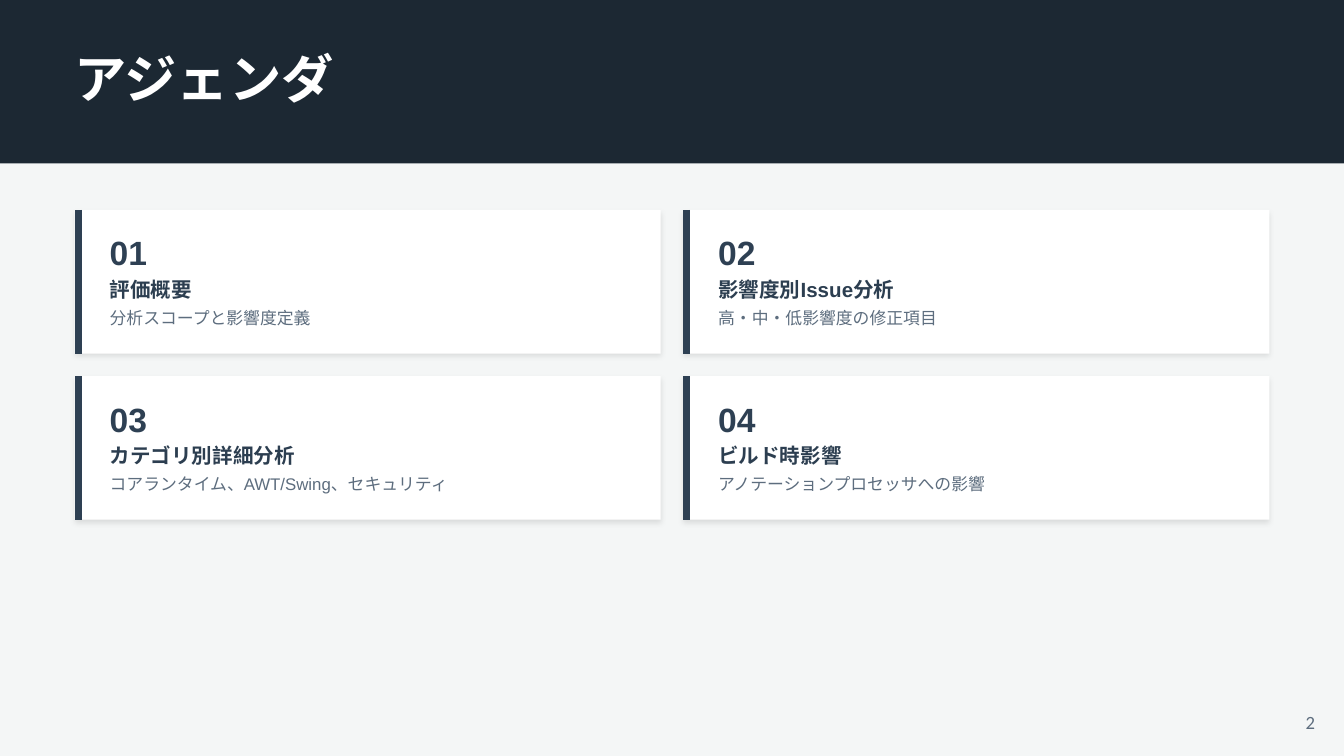
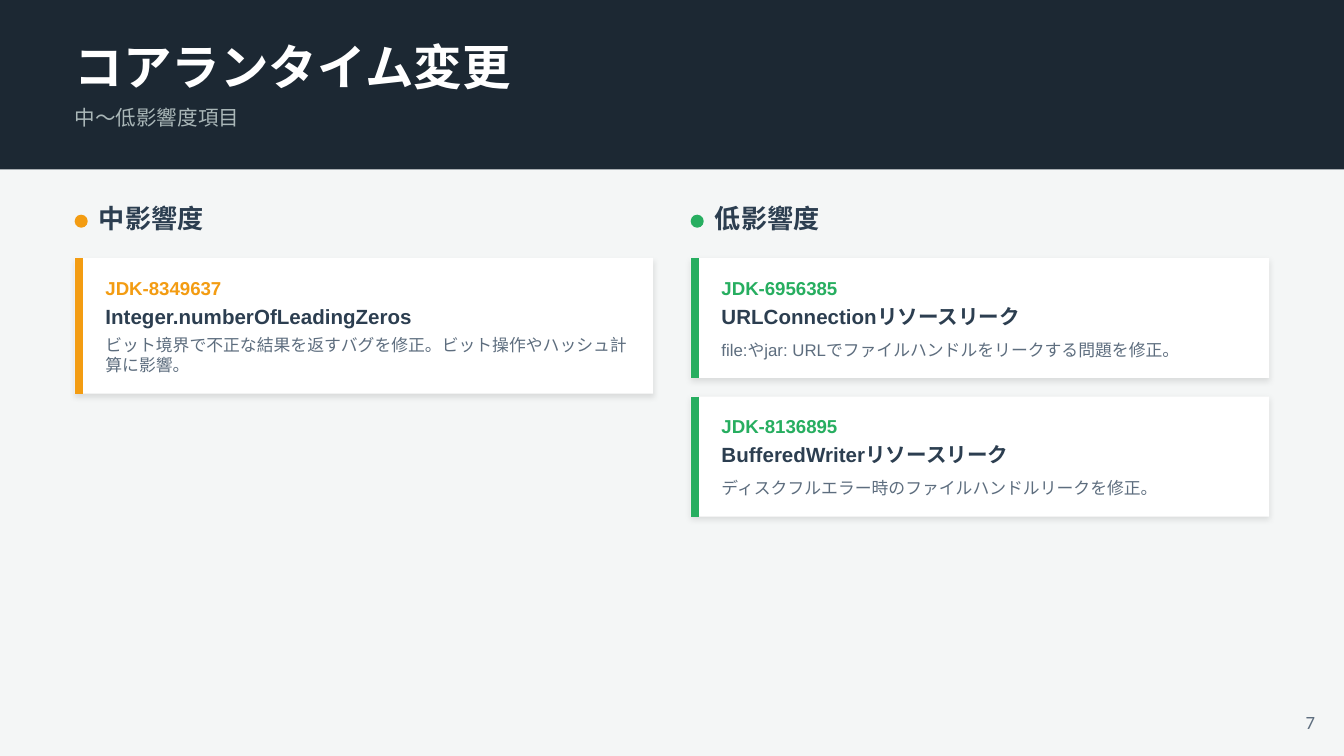
"""Build the agenda and core runtime slides."""
from lxml import etree
from pptx import Presentation
from pptx.dml.color import RGBColor
from pptx.enum import shapes, text
from pptx.oxml import ns, parse_xml
from pptx.util import Pt

NAVY = RGBColor(0x1C, 0x28, 0x33)
SLATE = RGBColor(0x2E, 0x40, 0x53)
INK = RGBColor(0x2C, 0x3E, 0x50)
GRAY = RGBColor(0x5D, 0x6D, 0x7E)
SILVER = RGBColor(0xAA, 0xB7, 0xB8)
PAPER = RGBColor(0xF4, 0xF6, 0xF6)
WHITE = RGBColor(0xFF, 0xFF, 0xFF)
ORANGE = RGBColor(0xF3, 0x9C, 0x12)
GREEN = RGBColor(0x27, 0xAE, 0x60)

AGENDA = [
    ("01", "評価概要", "分析スコープと影響度定義"),
    ("02", "影響度別Issue分析", "高・中・低影響度の修正項目"),
    ("03", "カテゴリ別詳細分析", "コアランタイム、AWT/Swing、セキュリティ"),
    ("04", "ビルド時影響", "アノテーションプロセッサへの影響"),
]
IMPACTS = [
    ("中影響度", ORANGE, 72.75, [
        ("JDK-8349637", "Integer.numberOfLeadingZeros",
         "ビット境界で不正な結果を返すバグを修正。ビット操作やハッシュ計算に影響。"),
    ]),
    ("低影響度", GREEN, 64.25, [
        ("JDK-6956385", "URLConnectionリソースリーク",
         "file:やjar: URLでファイルハンドルをリークする問題を修正。"),
        ("JDK-8136895", "BufferedWriterリソースリーク",
         "ディスクフルエラー時のファイルハンドルリークを修正。"),
    ]),
]

WIDTH, HEIGHT, MARGIN = 720, 405, 40
TITLE_WIDTH = 653
SHADOW = (
    f'<a:effectLst {ns.nsdecls("a")}><a:outerShdw blurRad="{Pt(3)}" dist="{Pt(1.5)}" '
    'dir="5400000" algn="bl" rotWithShape="0"><a:srgbClr val="000000">'
    '<a:alpha val="10000"/></a:srgbClr></a:outerShdw></a:effectLst>'
)


def points(*lengths):
    """Convert lengths in points to slide units."""
    return [Pt(length) for length in lengths]


def format_text(box, wording, size, color, bold=False, font="Arial", inset=True,
                before=None, after=None, spacing=None):
    """Fill a box with one paragraph of styled text."""
    frame = box.text_frame
    frame.text = wording
    frame.word_wrap = True
    frame.auto_size = text.MSO_AUTO_SIZE.NONE
    frame.vertical_anchor = text.MSO_ANCHOR.TOP
    if inset:
        frame.margin_left = frame.margin_top = 0
        frame.margin_right = frame.margin_bottom = 0
    para = frame.paragraphs[0]
    para.alignment = text.PP_ALIGN.LEFT
    for name, value in (("space_before", before), ("space_after", after),
                        ("line_spacing", spacing)):
        if value is not None:
            setattr(para, name, Pt(value))
    for span in para.runs:
        span.font.name, span.font.size, span.font.bold = font, Pt(size), bold
        span.font.color.rgb = color
    return box


def add_text(page, place, *style, **options):
    """Add a styled text box at a place given in points."""
    box = page.shapes.add_textbox(*points(*place))
    return format_text(box, *style, **options)


def add_block(page, place, color, preset=shapes.MSO_SHAPE.RECTANGLE):
    """Add a flat shape without an outline."""
    block = page.shapes.add_shape(preset, *points(*place))
    block.shadow.inherit = False
    block.fill.solid()
    block.fill.fore_color.rgb = color
    block.line.fill.background()
    return block


def add_card(page, place, accent, thickness):
    """Add a white card with a soft shadow and an accent bar at its left."""
    left, top, width, height = place
    properties = add_block(page, place, WHITE).element.spPr
    properties.replace(properties.find(ns.qn("a:effectLst")), parse_xml(SHADOW))
    center = left + thickness / 2
    bar = page.shapes.add_connector(
        shapes.MSO_CONNECTOR.STRAIGHT, *points(center, top, center, top + height))
    bar.line.color.rgb = accent
    bar.line.width = Pt(thickness)
    etree.SubElement(bar.element.spPr, ns.qn("a:effectLst"))


def add_page(deck, title, number, band_height, title_top, title_size):
    """Add a slide with its band, title and page number."""
    page = deck.slides.add_slide(deck.slide_layouts[5])
    page.background.fill.solid()
    page.background.fill.fore_color.rgb = PAPER
    band = add_block(page, (0, 0, WIDTH, band_height), NAVY)
    page.shapes.element.insert(2, band.element)
    heading = page.shapes.title
    heading.left, heading.top, heading.width, heading.height = points(
        MARGIN, title_top, TITLE_WIDTH, title_size * 1.33)
    format_text(heading, title, title_size, WHITE, bold=True)
    label = add_text(page, (684, 378, 36, 18), str(number), 10, GRAY,
                     font="Calibri", inset=False)
    label.text_frame.vertical_anchor = text.MSO_ANCHOR.MIDDLE
    label.text_frame.paragraphs[0].alignment = text.PP_ALIGN.CENTER
    return page


def build_agenda(deck):
    """Lay out the agenda as a grid of two columns."""
    page = add_page(deck, "アジェンダ", 2, 87.5, 25, 28)
    width, height, gap = 314, 77, 12
    for index, (number, topic, detail) in enumerate(AGENDA):
        row, column = divmod(index, 2)
        left = MARGIN + column * (width + gap)
        top = 112.5 + row * (height + gap)
        add_card(page, (left, top, width, height), SLATE, 3.75)
        x = left + 18.75
        add_text(page, (x, top + 12, 286, 21), number, 18, SLATE, bold=True, after=3)
        add_text(page, (x, top + 36, 286, 14.5), topic, 11, INK, bold=True, after=2)
        add_text(page, (x, top + 52.25, 286, 13), detail, 9, GRAY)


def build_impacts(deck):
    """Lay out one column of issue cards per impact level."""
    page = add_page(deck, "コアランタイム変更", 7, 90.75, 20, 26)
    add_text(page, (MARGIN, 56, TITLE_WIDTH, 14.5), "中～低影響度項目", 11, SILVER, before=2)
    width, column_gap, row_gap = 310, 20, 10
    for column, (level, accent, height, issues) in enumerate(IMPACTS):
        left = MARGIN + column * (width + column_gap)
        dot = add_block(page, (left, 115, 7, 7), accent, shapes.MSO_SHAPE.ROUNDED_RECTANGLE)
        dot.adjustments[0] = 0.5
        add_text(page, (left + 13, 108.5, 58.5, 19.5), level, 14, INK, bold=True)
        x = left + 16.5
        for row, (issue, subject, detail) in enumerate(issues):
            top = 138.25 + row * (height + row_gap)
            add_card(page, (left, top, width, height), accent, 4.5)
            add_text(page, (x, top + 10, 287, 11.5), issue, 10, accent, bold=True, after=3)
            add_text(page, (x, top + 24.5, 287, 14), subject, 11, INK, bold=True, after=5)
            detail_top = 41 if height > 70 else 43.5
            add_text(page, (x, top + detail_top, 287, height - detail_top - 10),
                     detail, 9, GRAY, spacing=10.8)


def main():
    """Build and save the deck."""
    deck = Presentation()
    deck.slide_width, deck.slide_height = points(WIDTH, HEIGHT)
    build_agenda(deck)
    build_impacts(deck)
    deck.save("out.pptx")


if __name__ == "__main__":
    main()
